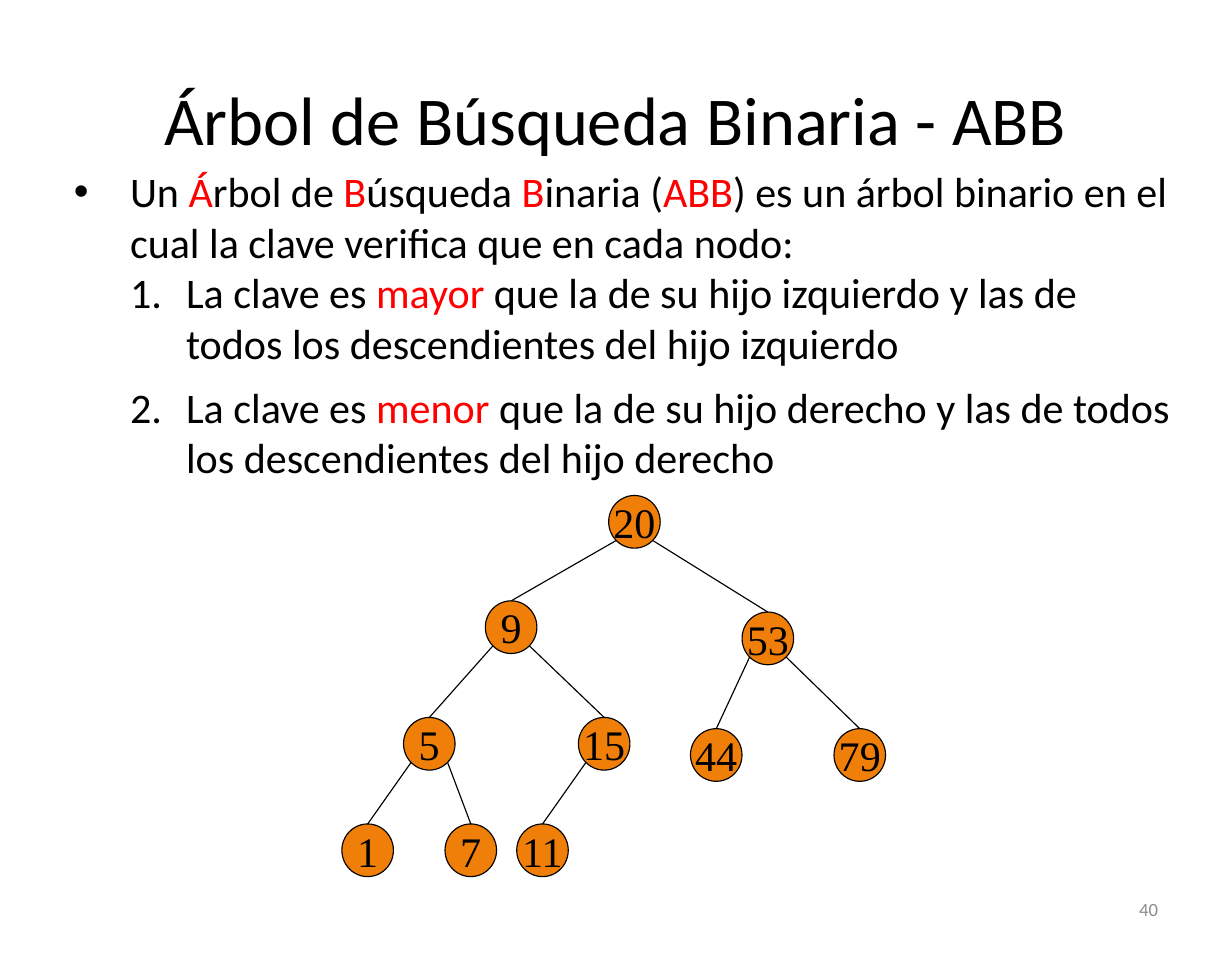
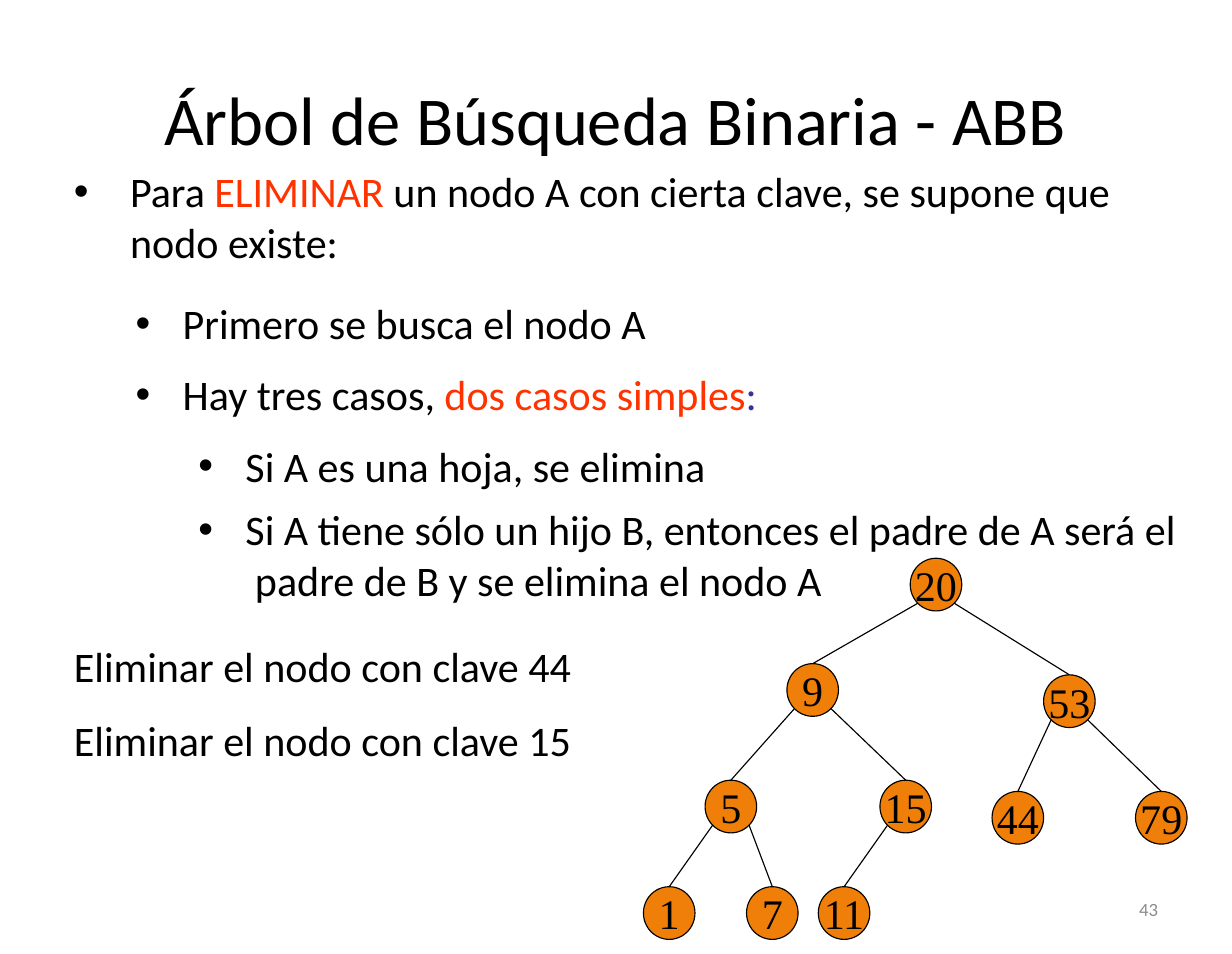
"""Two slides on binary search trees: definition and deletion."""
from dataclasses import dataclass
from typing import Any, NamedTuple, Optional

from lxml import etree
from pptx import Presentation
from pptx import util as u
from pptx.dml import color as dml
from pptx.enum import shapes, text
from pptx.oxml import ns


@dataclass(frozen=True)
class Theme:
    """Colours, fonts and type sizes shared by all slides."""
    ink: str = "000000"
    node_fill: str = "F07F09"
    definition: str = "FF0000"
    deletion: str = "FF3300"
    colon: str = "333399"
    page: str = "8C8C8C"
    sans: str = "Calibri"
    serif: str = "Times New Roman"
    title_size: float = 44
    body_size: float = 27
    page_size: float = 12
    line_width: float = 0.75


THEME = Theme()
HEADING = "Árbol de Búsqueda Binaria - ABB"


class Box(NamedTuple):
    """A rectangle in inches."""
    left: float
    top: float
    width: float
    height: float

    def lengths(self) -> list[u.Length]:
        """Return the four values as lengths."""
        return [u.Inches(value) for value in self]


class Span(NamedTuple):
    """A stretch of text in one colour."""
    words: str
    color: str = THEME.ink


@dataclass(frozen=True)
class Item:
    """A list paragraph; its indents are in inches, the gap above in points."""
    spans: tuple[Span, ...]
    level: int = 0
    margin: float = 0.5
    hanging: float = 0.5
    gap: float = 0
    numbered: bool = False


class Node(NamedTuple):
    """A tree node: key, offset from the root, parent key."""
    key: int
    dx: float
    dy: float
    parent: Optional[int] = None


TITLE = Box(0.55, 0.34, 9.89, 1.42)
PAGE = Box(7.87, 7.88, 2.56, 0.45)
NODE_W, NODE_H = 0.46, 0.47
DIAGONAL = 0.5 ** 0.5

TREE = (
    Node(20, 0, 0),
    Node(9, -1.1, 0.94, 20),
    Node(53, 1.19, 1.04, 20),
    Node(5, -1.83, 1.98, 9),
    Node(15, -0.27, 1.98, 9),
    Node(44, 0.73, 2.08, 53),
    Node(79, 2.01, 2.08, 53),
    Node(1, -2.38, 2.93, 5),
    Node(7, -1.46, 2.93, 5),
    Node(11, -0.82, 2.93, 15),
)


def rgb(value: str) -> dml.RGBColor:
    """Turn a hex string into a colour."""
    return dml.RGBColor.from_string(value)


def add_text(paragraph: Any, words: str, *, size: float = THEME.body_size,
             color: str = THEME.ink, font: str = THEME.sans,
             align: Optional[text.PP_ALIGN] = None) -> None:
    """Append one formatted run to a paragraph."""
    run = paragraph.add_run()
    run.text = words
    run.font.size = u.Pt(size)
    run.font.name = font
    run.font.color.rgb = rgb(color)
    if align is not None:
        paragraph.alignment = align


def set_frame(frame: Any, *, side: float = 0.1, edge: float = 0.05, wrap: bool = True,
              anchor: text.MSO_ANCHOR = text.MSO_ANCHOR.TOP) -> None:
    """Set the insets, wrapping and anchor of a text frame."""
    frame.auto_size = text.MSO_AUTO_SIZE.NONE
    frame.word_wrap = wrap
    frame.vertical_anchor = anchor
    frame.margin_left = frame.margin_right = u.Inches(side)
    frame.margin_top = frame.margin_bottom = u.Inches(edge)


def place(shape: Any, box: Box) -> None:
    """Move a placeholder to a box."""
    shape.left, shape.top, shape.width, shape.height = box.lengths()


def set_marker(paragraph: Any, item: Item) -> None:
    """Give a list paragraph its indents and its bullet or number."""
    props = paragraph._p.get_or_add_pPr()
    props.set("marL", str(u.Inches(item.margin)))
    props.set("indent", str(u.Inches(-item.hanging)))
    if item.numbered:
        etree.SubElement(props, ns.qn("a:buFont"), typeface="+mj-lt")
        etree.SubElement(props, ns.qn("a:buAutoNum"), type="arabicPeriod")
    else:
        etree.SubElement(props, ns.qn("a:buFont"), typeface="Arial")
        etree.SubElement(props, ns.qn("a:buChar"), char="•")


def add_list(slide: Any, box: Box, items: tuple[Item, ...]) -> None:
    """Fill the body placeholder with list items."""
    body = slide.placeholders[1]
    place(body, box)
    frame = body.text_frame
    set_frame(frame, side=0.11, edge=0.06)
    for index, item in enumerate(items):
        paragraph = frame.add_paragraph() if index else frame.paragraphs[0]
        paragraph.level = item.level
        paragraph.space_before = u.Pt(item.gap)
        paragraph.space_after = u.Pt(0)
        set_marker(paragraph, item)
        for span in item.spans:
            add_text(paragraph, span.words, color=span.color)


def add_label(slide: Any, box: Box, words: str, *, side: float = 0.1, edge: float = 0.05,
              anchor: text.MSO_ANCHOR = text.MSO_ANCHOR.TOP, **style: Any) -> None:
    """Add a one-line text box."""
    frame = slide.shapes.add_textbox(*box.lengths()).text_frame
    set_frame(frame, side=side, edge=edge, anchor=anchor)
    add_text(frame.paragraphs[0], words, **style)


def add_node(group: Any, node: Node, left: float, top: float) -> Any:
    """Draw one tree node and return its circle."""
    circle = group.shapes.add_shape(shapes.MSO_SHAPE.OVAL,
                                    *Box(left, top, NODE_W, NODE_H).lengths())
    circle.shadow.inherit = False
    circle.fill.solid()
    circle.fill.fore_color.rgb = rgb(THEME.node_fill)
    circle.line.color.rgb = rgb(THEME.ink)
    circle.line.width = u.Pt(THEME.line_width)
    set_frame(circle.text_frame, wrap=False, anchor=text.MSO_ANCHOR.MIDDLE)
    add_text(circle.text_frame.paragraphs[0], str(node.key), font=THEME.serif,
             align=text.PP_ALIGN.CENTER)
    return circle


def add_edge(group: Any, parent: Any, child: Any) -> None:
    """Join the parent's lower diagonal point to the child's top."""
    side = -1 if child.left < parent.left else 1
    start_x = parent.left + parent.width * (1 + side * DIAGONAL) / 2
    start_y = parent.top + parent.height * (1 + DIAGONAL) / 2
    edge = group.shapes.add_connector(
        shapes.MSO_CONNECTOR.STRAIGHT, u.Emu(int(start_x)), u.Emu(int(start_y)),
        u.Emu(child.left + child.width // 2), child.top)
    edge.end_connect(child, 0)
    edge.line.color.rgb = rgb(THEME.ink)
    edge.line.width = u.Pt(THEME.line_width)
    etree.SubElement(edge._element.spPr, ns.qn("a:effectLst"))


def add_tree(slide: Any, root_left: float, root_top: float) -> None:
    """Draw the example tree with its root at the given corner."""
    group = slide.shapes.add_group_shape()
    circles: dict[int, Any] = {}
    for node in TREE:
        circles[node.key] = add_node(group, node, root_left + node.dx, root_top + node.dy)
        if node.parent is not None:
            add_edge(group, circles[node.parent], circles[node.key])


def add_slide(deck: Any, page: int) -> Any:
    """Start a slide with the shared title and its page number."""
    slide = deck.slides.add_slide(deck.slide_layouts[1])
    title = slide.shapes.title
    place(title, TITLE)
    set_frame(title.text_frame, anchor=text.MSO_ANCHOR.MIDDLE)
    add_text(title.text_frame.paragraphs[0], HEADING, size=THEME.title_size,
             align=text.PP_ALIGN.CENTER)
    add_label(slide, PAGE, str(page), anchor=text.MSO_ANCHOR.MIDDLE, size=THEME.page_size,
              color=THEME.page, align=text.PP_ALIGN.RIGHT)
    return slide


def numbered(comparison: str, rest: str, gap: float = 0) -> Item:
    """Build one of the numbered key rules."""
    return Item((Span("La clave es "), Span(comparison, THEME.definition), Span(rest)),
                level=1, margin=1, gap=gap, numbered=True)


def step(*spans: Span, gap: float) -> Item:
    """Build a second-level deletion step."""
    return Item(spans, level=1, margin=0.97, hanging=0.42, gap=gap)


def case(words: str, gap: float) -> Item:
    """Build a third-level deletion case."""
    return Item((Span(words),), level=2, margin=1.53, hanging=0.42, gap=gap)


DEFINITION = (
    Item((
        Span("Un "), Span("Á", THEME.definition), Span("rbol de "),
        Span("B", THEME.definition), Span("úsqueda "),
        Span("B", THEME.definition), Span("inaria ("),
        Span("ABB", THEME.definition),
        Span(") es un árbol binario en el cual la clave verifica que en cada nodo:"),
    )),
    numbered("mayor ", "que la de su hijo izquierdo y las de todos los descendientes "
                       "del hijo izquierdo"),
    numbered("menor ", "que la de su hijo derecho y las de todos los descendientes "
                       "del hijo derecho", gap=8.5),
)

DELETION = (
    Item((Span("Para "), Span("ELIMINAR ", THEME.deletion),
          Span("un nodo A con cierta clave, se supone que nodo existe:"))),
    step(Span("Primero se busca el nodo A"), gap=19.5),
    step(Span("Hay tres casos, "), Span("dos casos simples", THEME.deletion),
         Span(":", THEME.colon), gap=13.4),
    case("Si A es una hoja, se elimina", gap=13.4),
    case("Si A tiene sólo un hijo B, entonces el padre de A será el  padre de B "
         "y se elimina el nodo A", gap=8.5),
)


def main() -> None:
    """Build and save the deck."""
    deck = Presentation()
    deck.slide_width, deck.slide_height = u.Inches(10.99), u.Inches(8.51)

    definition = add_slide(deck, 40)
    add_list(definition, Box(0.55, 1.42, 10.07, 2.95), DEFINITION)
    add_tree(definition, 5.43, 4.42)

    deletion = add_slide(deck, 43)
    add_list(deletion, Box(0.55, 1.42, 10.07, 4.05), DELETION)
    add_tree(deletion, 8.12, 4.98)
    for row, key in enumerate((44, 15)):
        add_label(deletion, Box(0.55, 5.65 + 0.66 * row, 4.94, 0.57),
                  f"Eliminar el nodo con clave {key}", side=0.11, edge=0.06)

    deck.save("out.pptx")


main()
